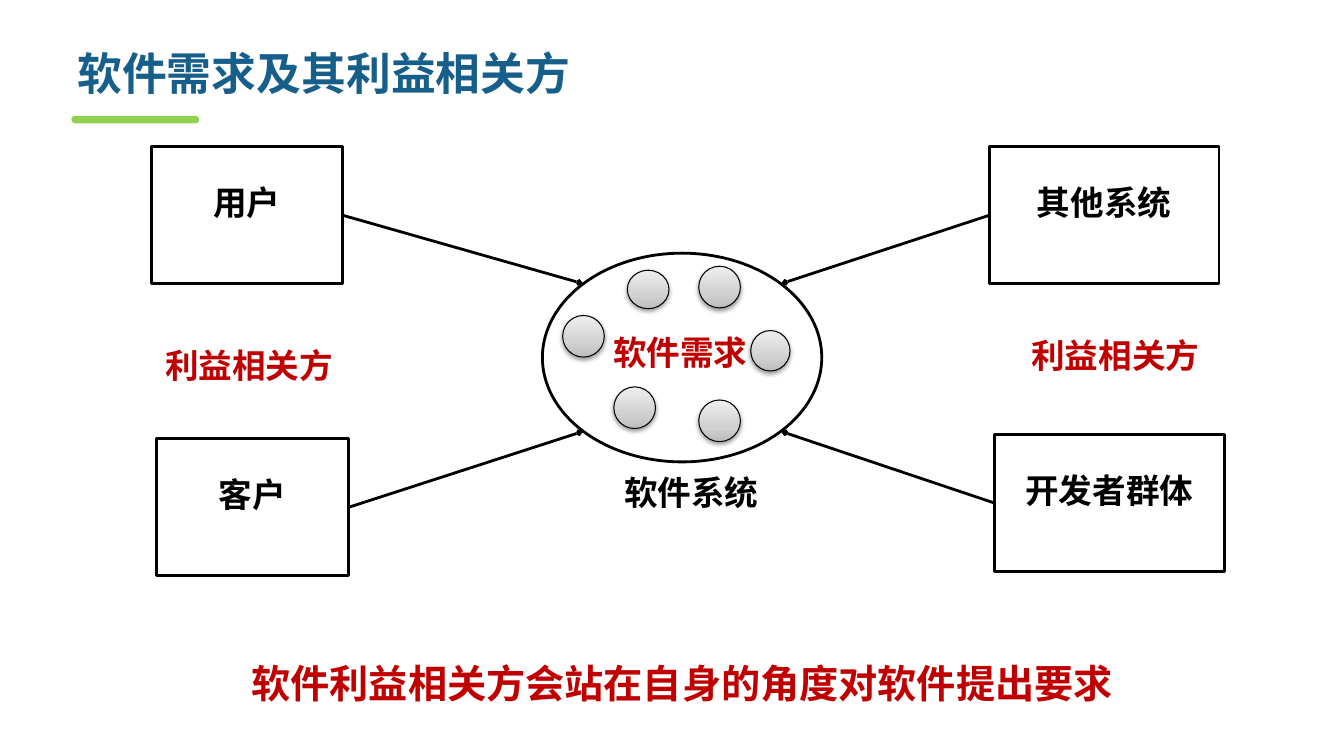
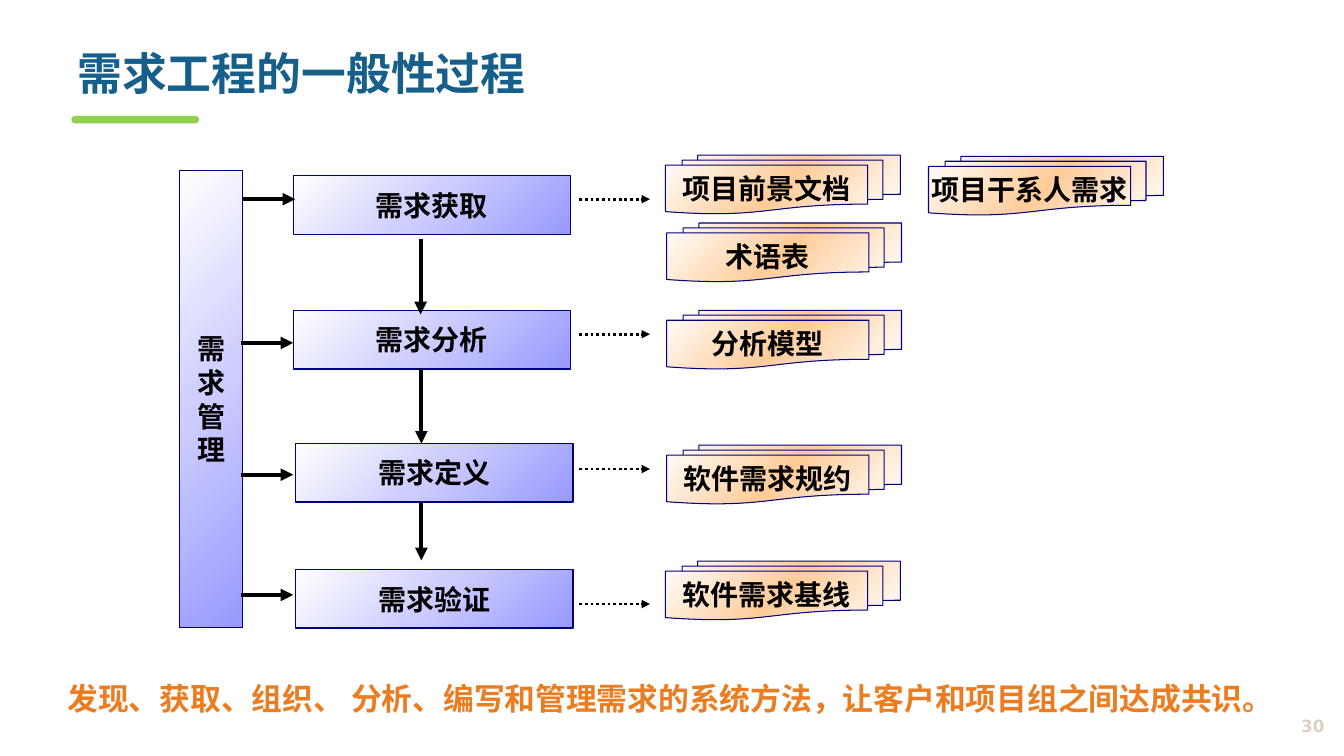
from lxml.etree import SubElement
from pptx import Presentation
from pptx.dml.color import RGBColor
from pptx.enum.dml import MSO_LINE
from pptx.enum.shapes import MSO_CONNECTOR, MSO_SHAPE
from pptx.enum.text import MSO_ANCHOR, PP_ALIGN
from pptx.oxml import parse_xml
from pptx.oxml.ns import nsdecls, qn
from pptx.util import Cm, Pt

HUE = {
    "title": "175F8B", "bar": "92D050", "ink": "000000", "red": "C00000",
    "gold": "EB7C1F", "page": "E0CFBD", "navy": "000080",
}
FONT = "Noto Sans CJK SC"
BLUE = (45, [(0, "FFFFFF"), (50, "CCCCFF"), (100, "9999FF")])
PEACH = (45, [(0, "FFFFFF"), (50, "FFCC99"), (100, "FFFFFF")])
GREY = (270, [(0, "BDBDBD"), (35, "D1D1D1"), (100, "EEEEEE")])


def put(page, box, text="", kind=None, size=24, hue="ink", font=FONT, align=PP_ALIGN.LEFT,
        anchor=MSO_ANCHOR.TOP, wrap=True, inset=(0.25, 0.13), lead=None,
        fill=None, grad=None, line=None, width=1):
    area = [Cm(v) for v in box]
    if kind is None:
        shape = page.shapes.add_textbox(*area)
    else:
        shape = page.shapes.add_shape(kind, *area)
        shape.shadow.inherit = False
        shape.fill.background()
        if fill:
            shape.fill.solid()
            shape.fill.fore_color.rgb = RGBColor.from_string(HUE[fill])
        if grad:
            angle, stops = grad
            marks = "".join(
                f'<a:gs pos="{pos * 1000}"><a:srgbClr val="{tone}"/></a:gs>' for pos, tone in stops)
            blend = parse_xml(
                f'<a:gradFill {nsdecls("a")} rotWithShape="1"><a:gsLst>{marks}</a:gsLst>'
                f'<a:lin ang="{angle * 60000}" scaled="1"/></a:gradFill>')
            props = shape._element.spPr
            props.replace(props.find(qn("a:noFill")), blend)
        if line:
            shape.line.color.rgb = RGBColor.from_string(HUE[line])
            shape.line.width = Pt(width)
        else:
            shape.line.fill.background()
    if text:
        frame = shape.text_frame
        frame.word_wrap = wrap
        frame.vertical_anchor = anchor
        frame.margin_left = frame.margin_right = Cm(inset[0])
        frame.margin_top = frame.margin_bottom = Cm(inset[1])
        frame.text = text
        for para in frame.paragraphs:
            para.alignment = align
            if lead:
                para.line_spacing = Pt(lead)
            for run in para.runs:
                run.font.size = Pt(size)
                run.font.bold = True
                run.font.color.rgb = RGBColor.from_string(HUE[hue])
                run.font.name = font
                SubElement(run._r.get_or_add_rPr(), qn("a:ea")).set("typeface", font)
    return shape


def link(page, start, end, width, head="triangle", size="med", dash=None):
    wire = page.shapes.add_connector(MSO_CONNECTOR.STRAIGHT, *[Cm(v) for v in (*start, *end)])
    wire.line.color.rgb = RGBColor.from_string(HUE["ink"])
    wire.line.width = Pt(width)
    if dash:
        wire.line.dash_style = dash
    props = wire._element.spPr
    tip = SubElement(props.find(qn("a:ln")), qn("a:tailEnd"))
    for key, val in (("type", head), ("w", size), ("len", size)):
        tip.set(key, val)
    SubElement(props, qn("a:effectLst"))


deck = Presentation()
deck.slide_width = Cm(33.87)
deck.slide_height = Cm(19.05)

pages = []
for title in ("软件需求及其利益相关方", "需求工程的一般性过程"):
    page = deck.slides.add_slide(deck.slide_layouts[6])
    bar = put(page, (1.8, 2.92, 3.22, 0.19), kind=MSO_SHAPE.ROUND_2_SAME_RECTANGLE, fill="bar")
    bar.adjustments[0] = bar.adjustments[1] = 0.5
    put(page, (1.7, 1.02, 31.17, 1.9), title, size=32, hue="title")
    pages.append(page)
roles, flow = pages

mid = {"align": PP_ALIGN.CENTER, "anchor": MSO_ANCHOR.MIDDLE}
put(roles, (13.67, 6.38, 7.04, 5.26), kind=MSO_SHAPE.OVAL, line="ink", width=2)

tall = 3.45
for text, left, top, wide, dx, dy in (
    ("用户", 3.81, 3.7, 4.83, -1, -1),
    ("客户", 3.95, 11.06, 4.83, -1, 1),
    ("其他系统", 24.93, 3.7, 5.79, 1, -1),
    ("开发者群体", 25.06, 10.95, 5.79, 1, 1),
):
    put(roles, (left, top, wide, tall), text, MSO_SHAPE.FLOWCHART_PROCESS,
        line="ink", width=2, lead=10, **mid)
    edge = left + wide if dx < 0 else left
    link(roles, (edge, top + tall / 2), (17.19 + dx * 2.49, 9.01 + dy * 1.86), 2, "arrow", "sm")

for box in (
    (17.61, 6.71, 1.05, 1.05), (15.81, 6.81, 1.05, 0.97), (14.18, 7.95, 1.05, 1.05),
    (15.47, 9.75, 1.05, 1.05), (17.61, 10.08, 1.05, 1.05), (18.92, 8.33, 0.99, 1.02),
):
    dot = put(roles, box, kind=MSO_SHAPE.OVAL, grad=GREY, line="ink", width=0.75)
    dot._element.spPr.find(qn("a:effectLst")).append(parse_xml(
        f'<a:outerShdw {nsdecls("a")} blurRad="40000" dist="20000" dir="5400000" rotWithShape="0">'
        '<a:srgbClr val="000000"><a:alpha val="38000"/></a:srgbClr></a:outerShdw>'))

for text, left, top, wide, hue in (
    ("软件需求", 15.2, 8.23, 4.06, "red"),
    ("软件系统", 15.48, 11.75, 4.06, "ink"),
    ("利益相关方", 3.91, 8.56, 4.9, "red"),
    ("利益相关方", 25.74, 8.3, 4.9, "red"),
):
    put(roles, (left, top, wide, 1.7), text, hue=hue, wrap=False)
put(roles, (5.66, 16.48, 23.06, 1.45), "软件利益相关方会站在自身的角度对软件提出要求",
    size=28, hue="red", align=PP_ALIGN.CENTER)

pad = (0.3, 0.15)
cell = {"size": 20, "line": "navy", "wrap": False, "inset": pad, **mid}
put(flow, (1.4, 16.99, 32.13, 1.24),
    "发现、获取、组织、 分析、编写和管理需求的系统方法，让客户和项目组之间达成共识。",
    size=22, hue="gold", inset=pad)
put(flow, (4.52, 4.29, 1.6, 11.53), "需\n求\n管\n理", MSO_SHAPE.RECTANGLE, grad=BLUE, **cell)

for text, left, top in (
    ("需求获取", 7.39, 4.43), ("需求分析", 7.39, 7.82),
    ("需求定义", 7.45, 11.17), ("需求验证", 7.45, 14.35),
):
    put(flow, (left, top, 6.99, 1.48), text, MSO_SHAPE.RECTANGLE, grad=BLUE, **cell)

for text, left, top in (
    ("项目前景文档", 16.77, 3.91), ("项目干系人需求", 23.4, 3.94), ("术语表", 16.8, 5.62),
    ("分析模型", 16.8, 7.82), ("软件需求规约", 16.8, 11.22), ("软件需求基线", 16.77, 14.14),
):
    put(flow, (left, top, 5.92, 1.48), text, MSO_SHAPE.FLOWCHART_MULTIDOCUMENT,
        grad=PEACH, width=0.75, **cell)

for left, top, end in ((10.6, 6.02, 7.92), (10.62, 9.27, 11.18), (10.62, 12.65, 14.12)):
    link(flow, (left, top), (left, end), 3)
for row, (left, top) in enumerate(((6.12, 5.02), (6.07, 8.64), (6.07, 11.96), (6.07, 14.99))):
    link(flow, (left, top), (left + 1.32, top), 3)
    level = 5.02 + 3.4 * row
    link(flow, (14.6, level), (16.38, level), 2, dash=MSO_LINE.ROUND_DOT)

put(flow, (30.76, 17.81, 2.87, 0.97), "30", size=12, hue="page", font="DejaVu Sans",
    align=PP_ALIGN.RIGHT, anchor=MSO_ANCHOR.MIDDLE)

deck.save("out.pptx")
